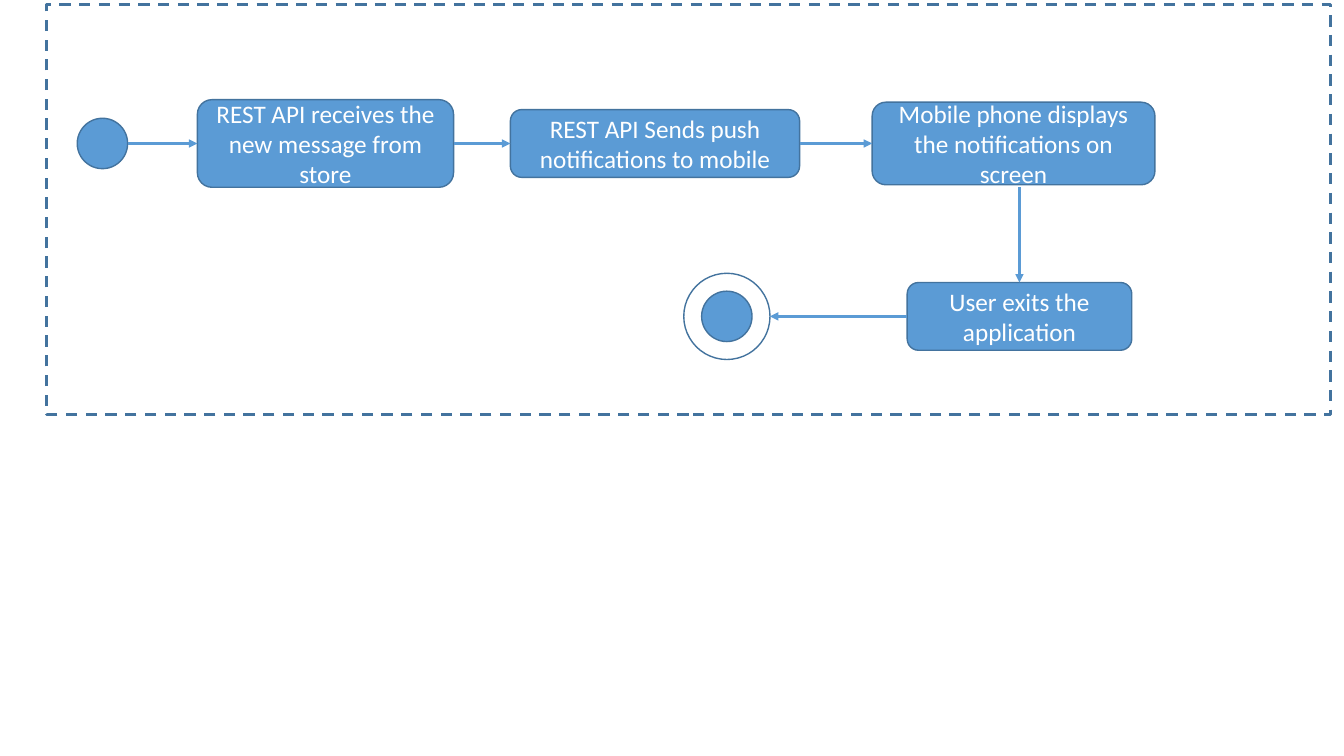
import pptx
import pptx.util
import pptx.dml.color
import pptx.enum.dml
import pptx.enum.shapes
import pptx.enum.text
import pptx.oxml
import pptx.oxml.ns
from dataclasses import dataclass

Pt = pptx.util.Pt
Kind = pptx.enum.shapes.MSO_SHAPE


@dataclass(frozen=True)
class Theme:
    fill: str = "5B9BD5"
    edge: str = "43739E"
    text: str = "FFFFFF"
    font: str = "Calibri"
    size: int = 18
    thin: int = 1
    thick: int = 2


THEME = Theme()


def tint(code):
    return pptx.dml.color.RGBColor.from_string(code)


def draw(shapes, kind, left, mid, wide, high, fill=None, width=THEME.thin):
    """Add a preset shape centred on the height mid."""
    shape = shapes.add_shape(kind, Pt(left), Pt(mid - high / 2), Pt(wide), Pt(high))
    shape.shadow.inherit = False
    if fill:
        shape.fill.solid()
        shape.fill.fore_color.rgb = tint(fill)
    else:
        shape.fill.background()
    shape.line.color.rgb = tint(THEME.edge)
    shape.line.width = Pt(width)
    return shape


def disc(shapes, left, mid, size, fill=None):
    return draw(shapes, Kind.FLOWCHART_CONNECTOR, left, mid, size, size, fill)


def step(shapes, label, left, mid, wide, high):
    """Add a rounded box with one centred label."""
    box = draw(shapes, Kind.FLOWCHART_ALTERNATE_PROCESS, left, mid, wide, high, THEME.fill)
    frame = box.text_frame
    frame.word_wrap = True
    frame.vertical_anchor = pptx.enum.text.MSO_ANCHOR.MIDDLE
    para = frame.paragraphs[0]
    para.alignment = pptx.enum.text.PP_ALIGN.CENTER
    run = para.add_run()
    run.text = label
    run.font.name = THEME.font
    run.font.size = Pt(THEME.size)
    run.font.color.rgb = tint(THEME.text)


def arrow(shapes, x1, y1, x2, y2):
    """Add a straight line with a triangle at its end."""
    link = shapes.add_connector(
        pptx.enum.shapes.MSO_CONNECTOR.STRAIGHT, Pt(x1), Pt(y1), Pt(x2), Pt(y2))
    link.line.color.rgb = tint(THEME.fill)
    link.line.width = Pt(THEME.thick)
    name = pptx.oxml.ns.qn
    props = link._element.spPr
    line = props.find(name("a:ln"))
    line.append(line.makeelement(name("a:tailEnd"), {"type": "triangle"}))
    props.append(props.makeelement(name("a:effectLst"), {}))


def main():
    deck = pptx.Presentation()
    deck.slide_width, deck.slide_height = Pt(960), Pt(540)
    shapes = deck.slides.add_slide(deck.slide_layouts[6]).shapes

    # Two rows of the flow, given by their centre heights
    top, low = 102.5, 226
    dot, ring = 36, 61.6
    start, finish = 55.2, 488.4

    # Start dot and upper row of steps: label, left, width, height
    disc(shapes, start, top, dot, THEME.fill)
    steps = [
        ("REST API receives the new message from store", 141, 183, 62.6),
        ("REST API Sends push notifications to mobile", 364.6, 206.6, 48.4),
        ("Mobile phone displays the notifications on screen", 623, 202, 59),
    ]
    edge = start + dot
    for label, left, wide, high in steps:
        step(shapes, label, left, top, wide, high)
        arrow(shapes, edge, top, left, top)
        edge = left + wide

    # Last step, reached from above
    last, high = 648, 48.4
    step(shapes, "User exits the application", last, low, 160.4, high)
    arrow(shapes, 728.2, 133.6, 728.2, low - high / 2)

    # End mark: a dot inside a ring
    end = shapes.add_group_shape().shapes
    disc(end, finish + (ring - dot) / 2, low, dot, THEME.fill)
    disc(end, finish, low, ring)
    arrow(shapes, last, low, finish + ring, low)

    # Dashed frame around the flow
    frame = draw(shapes, Kind.RECTANGLE, 33.2, 149.7, 917.4, 292.8, width=THEME.thick)
    frame.line.dash_style = pptx.enum.dml.MSO_LINE.DASH

    deck.save("out.pptx")


main()
